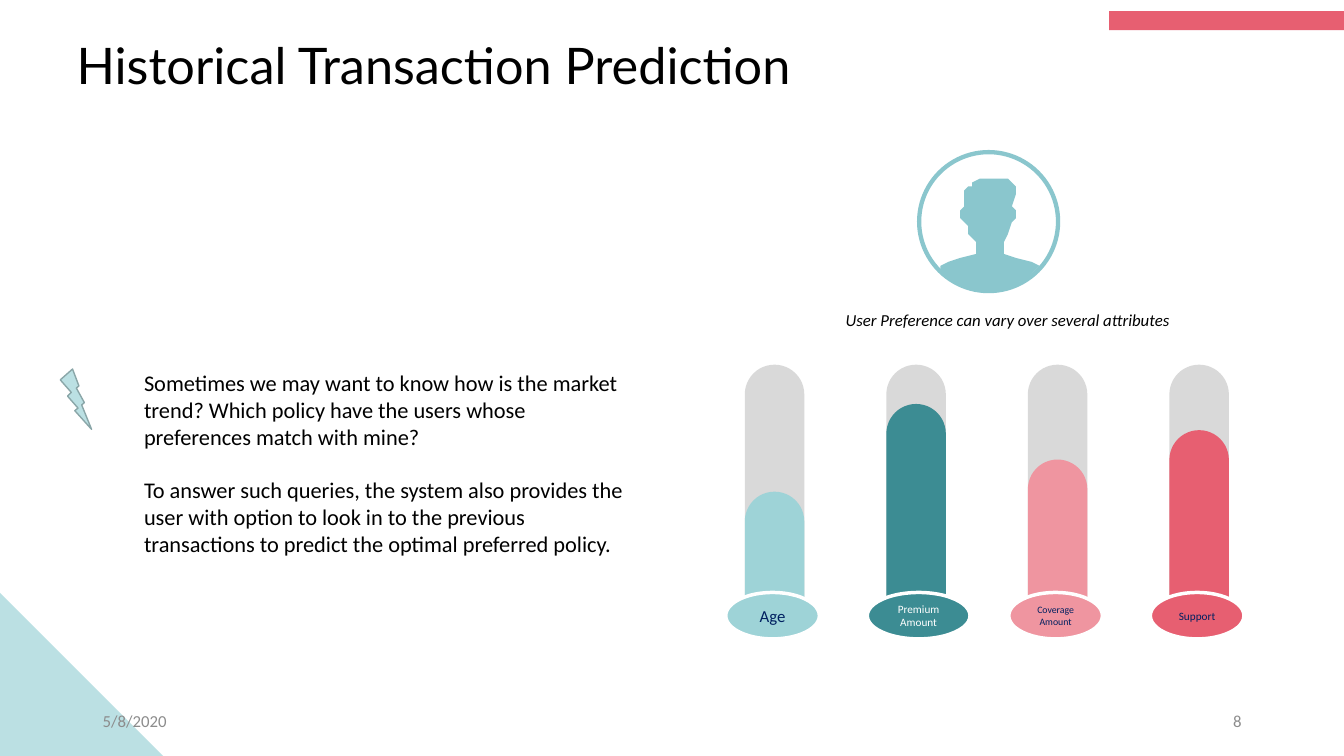
import math

import pptx
import pptx.dml.color
import pptx.enum.shapes
import pptx.enum.text
import pptx.util

Cm = pptx.util.Cm
Pt = pptx.util.Pt
RGBColor = pptx.dml.color.RGBColor
Shape = pptx.enum.shapes.MSO_SHAPE
Align = pptx.enum.text.PP_ALIGN
Anchor = pptx.enum.text.MSO_ANCHOR

BLACK = RGBColor(0x00, 0x00, 0x00)
WHITE = RGBColor(0xFF, 0xFF, 0xFF)
GRAY = RGBColor(0x8C, 0x8C, 0x8C)
TRACK = RGBColor(0xD9, 0xD9, 0xD9)
NAVY = RGBColor(0x00, 0x20, 0x60)
PALE_BLUE = RGBColor(0xBB, 0xE0, 0xE3)
BOLT_EDGE = RGBColor(0x8A, 0xA6, 0xA8)
ICON_BLUE = RGBColor(0x8A, 0xC6, 0xCD)
AQUA = RGBColor(0x9E, 0xD3, 0xD7)
TEAL = RGBColor(0x3C, 0x8C, 0x93)
PINK = RGBColor(0xEF, 0x95, 0xA0)
RED = RGBColor(0xE7, 0x5F, 0x71)

ATTRIBUTES = [
    ("Age", 3.71, AQUA, 2.36, 12, NAVY),
    ("Premium Amount", 5.92, TEAL, 2.59, 8, WHITE),
    ("Coverage Amount", 4.52, PINK, 2.36, 7, NAVY),
    ("Support", 5.26, RED, 2.36, 8, NAVY),
]
BUST_MILLIMETRES = [
    (30.7, 29.2), (28.7, 28.4), (25.1, 27.2), (21.8, 25.9), (21.8, 22.9),
    (23.1, 21.6), (24.1, 18.5), (24.9, 17.5), (25.1, 16.5), (24.9, 15.2),
    (24.1, 14.5), (24.9, 11.4), (24.9, 9.4), (24.1, 8.1), (22.6, 7.4),
    (20.3, 6.9), (17.8, 6.9), (15.5, 7.4), (14.2, 8.4), (13.7, 8.9),
    (12.4, 9.1), (11.7, 9.9), (11.7, 12.2), (12.2, 14.5), (11.4, 15.2),
    (11.4, 16.8), (11.9, 18), (12.4, 19.6), (13.2, 21.6), (14.5, 22.9),
    (14.5, 25.9), (11.4, 26.9), (8.1, 28.2), (5.6, 29.2),
]


def paint(shape, fill, edge=None, weight=1):
    shape.shadow.inherit = False
    shape.fill.solid()
    shape.fill.fore_color.rgb = fill
    if edge is None:
        shape.line.fill.background()
    else:
        shape.line.color.rgb = edge
        shape.line.width = Pt(weight)


def add_figure(page, kind, box, fill, edge=None, weight=1):
    shape = page.shapes.add_shape(kind, *map(Cm, box))
    paint(shape, fill, edge, weight)
    return shape


def style(para, size, color, font="Calibri", align=Align.LEFT):
    para.alignment = align
    para.font.size = Pt(size)
    para.font.name = font
    para.font.color.rgb = color


def add_text(page, box, texts, size, color, font="Calibri", align=Align.LEFT,
             anchor=Anchor.TOP, inset=True):
    frame = page.shapes.add_textbox(*map(Cm, box)).text_frame
    frame.word_wrap = True
    frame.vertical_anchor = anchor
    if not inset:
        frame.margin_left = frame.margin_right = 0
        frame.margin_top = frame.margin_bottom = 0
    frame.text = "\n".join(texts)
    for para in frame.paragraphs:
        style(para, size, color, font, align)
    return frame


def add_decoration(page, box):
    left, top, width, height = box
    add_figure(page, Shape.RIGHT_TRIANGLE,
               (left, top + height - 4.11, 4.11, 4.11), PALE_BLUE)
    add_figure(page, Shape.RECTANGLE,
               (left + width - 5.92, top + 0.28, 5.92, 0.48), RED)


def add_footer(page, box):
    left, top, width, height = box
    add_text(page, (left, top, 7.62, height), ["5/8/2020"], 12, GRAY,
             anchor=Anchor.MIDDLE)
    add_text(page, (left + width - 7.62, top, 7.62, height), ["8"], 12, GRAY,
             align=Align.RIGHT, anchor=Anchor.MIDDLE)


def add_user_icon(page, box):
    left, top, diameter, height = box
    ring = add_figure(page, Shape.DONUT, box, ICON_BLUE)
    ring.adjustments[0] = 0.03
    center, radius = diameter * 5, diameter * 5 - 0.5
    rim = [(center + radius * math.cos(math.radians(angle)),
            center + radius * math.sin(math.radians(angle)))
           for angle in range(134, 42, -4)]
    outline = [(left * 10 + x, top * 10 + y) for x, y in BUST_MILLIMETRES + rim]
    builder = page.shapes.build_freeform(*outline[0], scale=Cm(0.1))
    builder.add_line_segments(outline[1:], close=True)
    paint(builder.convert_to_shape(), ICON_BLUE)


def add_bar(page, box, color):
    bar = add_figure(page, Shape.ROUNDED_RECTANGLE, box, color)
    bar.adjustments[0] = 0.5


def add_attribute_bars(page, box):
    left, top, width, height = box
    bar_width = 1.5
    pitch = (width - bar_width) / (len(ATTRIBUTES) - 1)
    bottom = top + height
    for index, attribute in enumerate(ATTRIBUTES):
        name, level, color, label_width, size, text_color = attribute
        x = left + index * pitch
        add_bar(page, (x, top, bar_width, height), TRACK)
        add_bar(page, (x, bottom - level, bar_width, level), color)
        label = add_figure(page, Shape.OVAL,
                           (x - 0.48, bottom - 1.17, label_width, 1.17),
                           color, WHITE, 2.5)
        label.text_frame.text = name
        label.text_frame.vertical_anchor = Anchor.MIDDLE
        style(label.text_frame.paragraphs[0], size, text_color,
              align=Align.CENTER)


def add_explanation(page, box):
    left, top, width, height = box
    add_figure(page, Shape.LIGHTNING_BOLT, (left, top, 0.79, 1.52),
               PALE_BLUE, BOLT_EDGE)
    frame = add_text(page, (left + 2.11, top, width - 2.11, height), [
        "Sometimes we may want to know how is the market trend? "
        "Which policy have the users whose preferences match with mine?",
        "To answer such queries, the system also provides the user with "
        "option to look in to the previous transactions to predict the "
        "optimal preferred policy.",
    ], 16, BLACK, inset=False)
    frame.paragraphs[1].space_before = Pt(19)


def main():
    deck = pptx.Presentation()
    deck.slide_width, deck.slide_height = Cm(33.87), Cm(19.05)
    page = deck.slides.add_slide(deck.slide_layouts[6])
    add_decoration(page, (0, 0, 33.87, 19.05))
    add_text(page, (1.93, 0.86, 30.02, 1.55),
             ["Historical Transaction Prediction"], 36, BLACK, "Lato",
             inset=False)
    add_footer(page, (2.34, 17.65, 29.2, 1.02))
    add_user_icon(page, (23.11, 3.78, 3.61, 3.61))
    add_attribute_bars(page, (18.77, 9.19, 12.2, 6.91))
    caption = add_text(page, (21.06, 7.67, 12.7, 0.76),
                       ["User Preference can vary over several attributes"],
                       12, BLACK)
    caption.paragraphs[0].font.italic = True
    add_explanation(page, (1.52, 9.3, 14.43, 4.78))
    deck.save("out.pptx")


if __name__ == "__main__":
    main()
